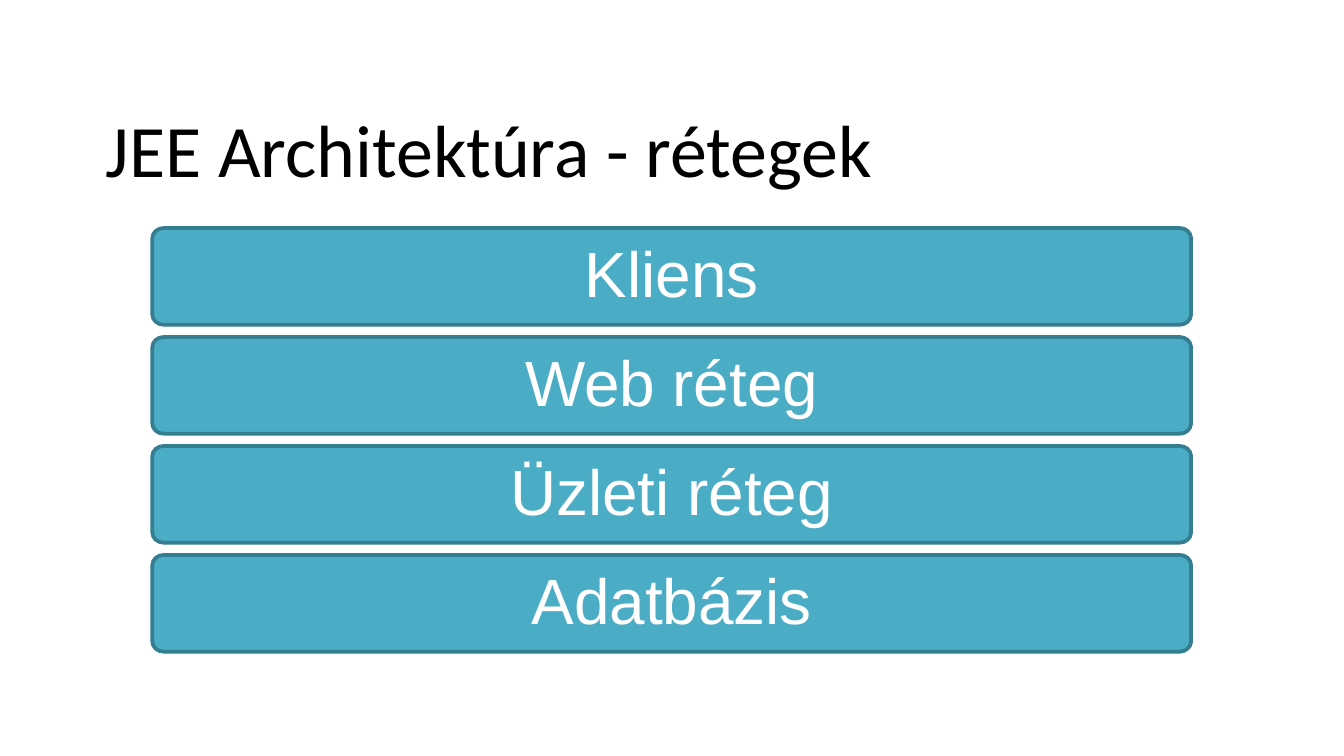
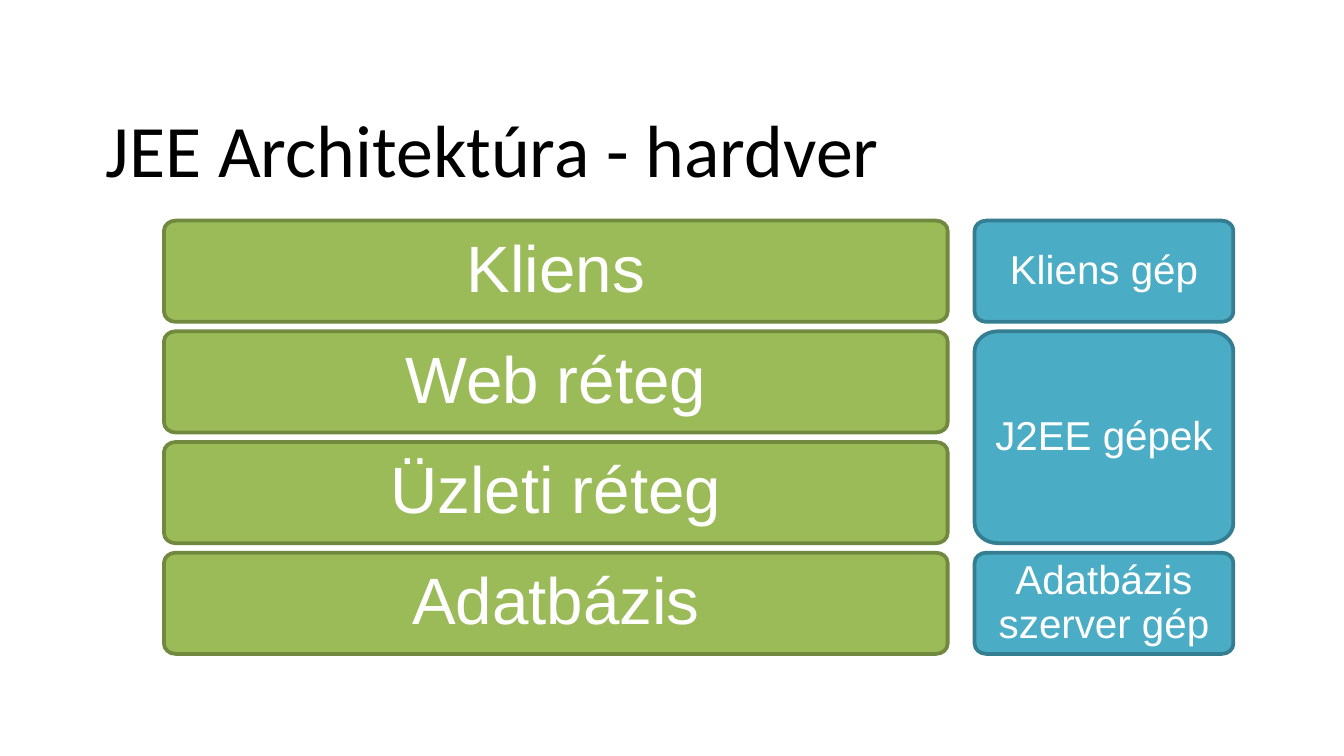
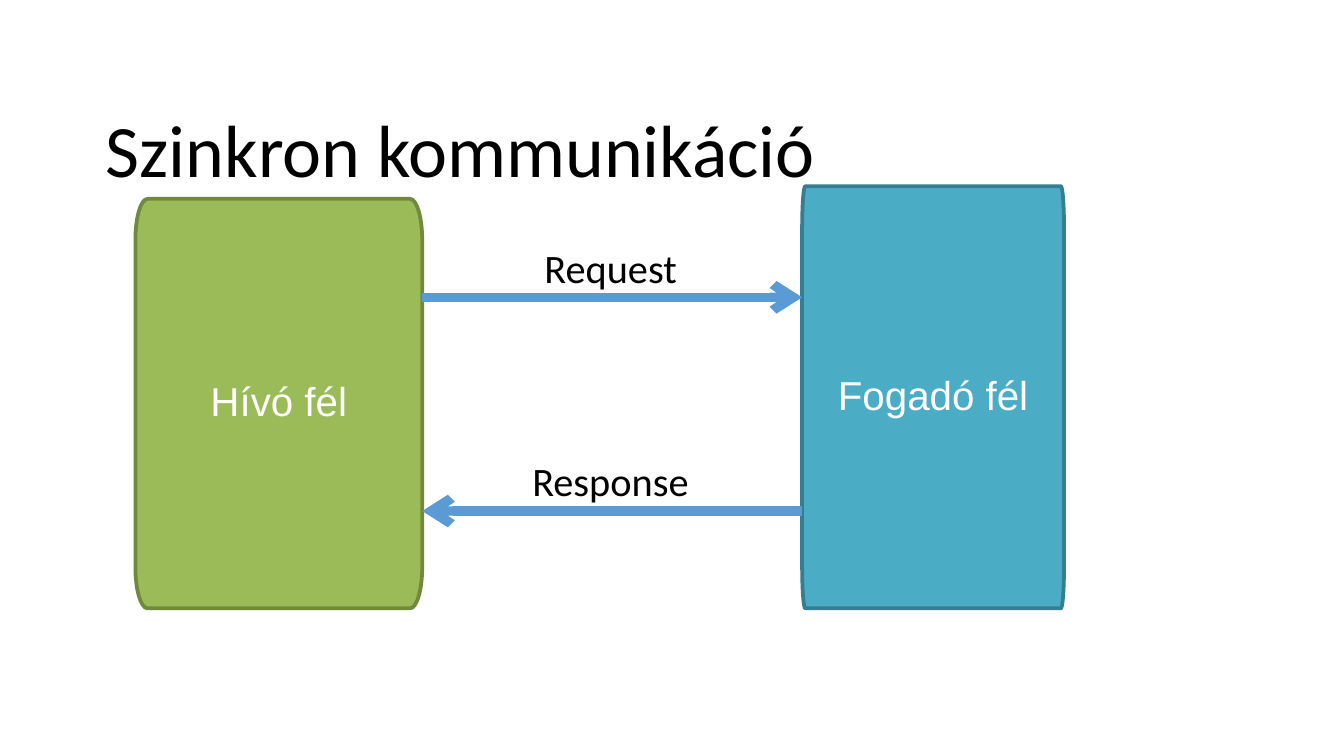
from pptx import Presentation
from pptx.dml.color import RGBColor
from pptx.enum.shapes import MSO_CONNECTOR as Link
from pptx.enum.text import MSO_ANCHOR as Anchor, MSO_AUTO_SIZE as Fit, PP_ALIGN as Align
from pptx.oxml.ns import qn
from pptx.util import Cm, Pt
from lxml.etree import SubElement as Sub

TEAL = ("4BACC6", "357D91")
GREEN = ("9BBB59", "71893F")
BLUE, WHITE, BLACK = "5B9BD5", "FFFFFF", "000000"
LAYERS = ("Kliens", "Web réteg", "Üzleti réteg", "Adatbázis")


def color(code):
    """Turn a hex string into a colour."""
    return RGBColor.from_string(code)


def write(shape, text, size, face, tint, pads):
    """Put one styled paragraph in a shape; pads are the side and the end insets."""
    frame = shape.text_frame
    frame.word_wrap = True
    frame.margin_left = frame.margin_right = Cm(pads[0])
    frame.margin_top = frame.margin_bottom = Cm(pads[1])
    para = frame.paragraphs[0]
    para.text = text
    para.font.size, para.font.name = Pt(size), face
    para.font.color.rgb = color(tint)
    return frame, para


def start(deck, text):
    """Add a slide with its title."""
    slide = deck.slides.add_slide(deck.slide_layouts[6])
    box = slide.shapes.add_textbox(Cm(1.75), Cm(0.76), Cm(21.9), Cm(2.89))
    frame, para = write(box, text, 39.6, "Calibri", BLACK, (0.25, 0))
    frame.vertical_anchor = Anchor.BOTTOM
    para.line_spacing = 0.9
    return slide


def bow(shape):
    """Turn every other segment of an outline into a quarter of an oval."""
    spots = [(int(p.get("x")), int(p.get("y"))) for p in shape._element.iter(qn("a:pt"))]
    sides = list(shape._element.iter(qn("a:lnTo")))
    for k in range(0, len(sides), 2):
        head, tail = spots[k], spots[k + 1]
        tip = (head[0], tail[1]) if k % 4 == 0 else (tail[0], head[1])
        side = sides[k]
        side.tag = qn("a:cubicBezTo")
        side.remove(side[0])
        pulls = [[round(a + 0.55 * (b - a)) for a, b in zip(end, tip)] for end in (head, tail)]
        for x, y in (*pulls, tail):
            Sub(side, qn("a:pt"), x=str(x), y=str(y))


def panel(slide, box, text, size, skin, bend, pad):
    """Draw a filled box with oval corners of radii bend and centred text."""
    left, top, wide, high = box
    right, foot = left + wide, top + high
    rx, ry = bend
    dots = [
        (left, top + ry), (left + rx, top), (right - rx, top), (right, top + ry),
        (right, foot - ry), (right - rx, foot), (left + rx, foot), (left, foot - ry),
    ]
    dots = [(Cm(x), Cm(y)) for x, y in dots]
    pen = slide.shapes.build_freeform(*dots[0])
    pen.add_line_segments(dots[1:], close=True)
    shape = pen.convert_to_shape()
    bow(shape)
    shape.shadow.inherit = False
    shape.fill.solid()
    shape.fill.fore_color.rgb = color(skin[0])
    shape.line.color.rgb = color(skin[1])
    shape.line.width = Pt(2)
    frame, para = write(shape, text, size, "Arial", WHITE, (pad, pad))
    frame.vertical_anchor = Anchor.MIDDLE
    para.alignment = Align.CENTER
    para.line_spacing = 0.9


def stack(slide, box, gap, rows, size, skin, pad):
    """Stack panels in a box; each row is a text and the number of units it spans."""
    left, top, wide, high = box
    count = sum(span for _, span in rows)
    unit = (high + gap) / count
    for text, span in rows:
        tall = span * unit - gap
        bend = (0.22 * span, 0.19 * span)
        panel(slide, (left, top, wide, tall), text, size, skin, bend, pad)
        top += span * unit


def arrow(slide, text, x1, x2, y, wide):
    """Draw a level arrow with its label centred above."""
    line = slide.shapes.add_connector(Link.STRAIGHT, Cm(x1), Cm(y), Cm(x2), Cm(y))
    line.line.color.rgb = color(BLUE)
    line.line.width = Pt(5)
    props = line._element.spPr
    Sub(props.find(qn("a:ln")), qn("a:tailEnd"), type="arrow")
    Sub(props, qn("a:effectLst"))
    high = 1.14
    mid = (x1 + x2) / 2
    box = slide.shapes.add_textbox(Cm(mid - wide / 2), Cm(y - high), Cm(wide), Cm(high))
    frame, _ = write(box, text, 21.6, "Calibri", BLACK, (0.23, 0.11))
    frame.word_wrap = False
    frame.auto_size = Fit.SHAPE_TO_FIT_TEXT


def layers(deck):
    """Build the slide of layers."""
    slide = start(deck, "JEE Architektúra - rétegek")
    rows = [(name, 1) for name in LAYERS]
    stack(slide, (2.88, 4.31, 19.63, 8.01), 0.23, rows, 34.2, TEAL, 0.43)


def hardware(deck):
    """Build the slide that sets machines beside layers."""
    slide = start(deck, "JEE Architektúra - hardver")
    top, high, gap = 4.17, 8.19, 0.18
    rows = [(name, 1) for name in LAYERS]
    hosts = [("Kliens gép", 1), ("J2EE gépek", 2), ("Adatbázis szerver gép", 1)]
    stack(slide, (3.1, top, 14.81, high), gap, rows, 35.1, GREEN, 0.43)
    stack(slide, (18.42, top, 4.89, high), gap, hosts, 21.6, TEAL, 0.3)


def sync(deck):
    """Build the slide of request and response."""
    slide = start(deck, "Szinkron kommunikáció")
    near, far, foot = 7.98, 15.16, 11.5
    caller = (2.56, 3.76, near - 2.56, foot - 3.76)
    target = (far, 3.52, 4.95, foot - 3.52)
    panel(slide, caller, "Hívó fél", 21.6, GREEN, (0.23, 0.77), 0.3)
    panel(slide, target, "Fogadó fél", 21.6, TEAL, (0.06, 0.79), 0.43)
    arrow(slide, "Request", near, far, 5.62, 3.02)
    arrow(slide, "Response", far, near, 9.66, 3.48)


def main():
    """Build and save the deck."""
    deck = Presentation()
    deck.slide_width, deck.slide_height = Cm(25.4), Cm(14.29)
    for build in (layers, hardware, sync):
        build(deck)
    deck.save("out.pptx")


if __name__ == "__main__":
    main()
